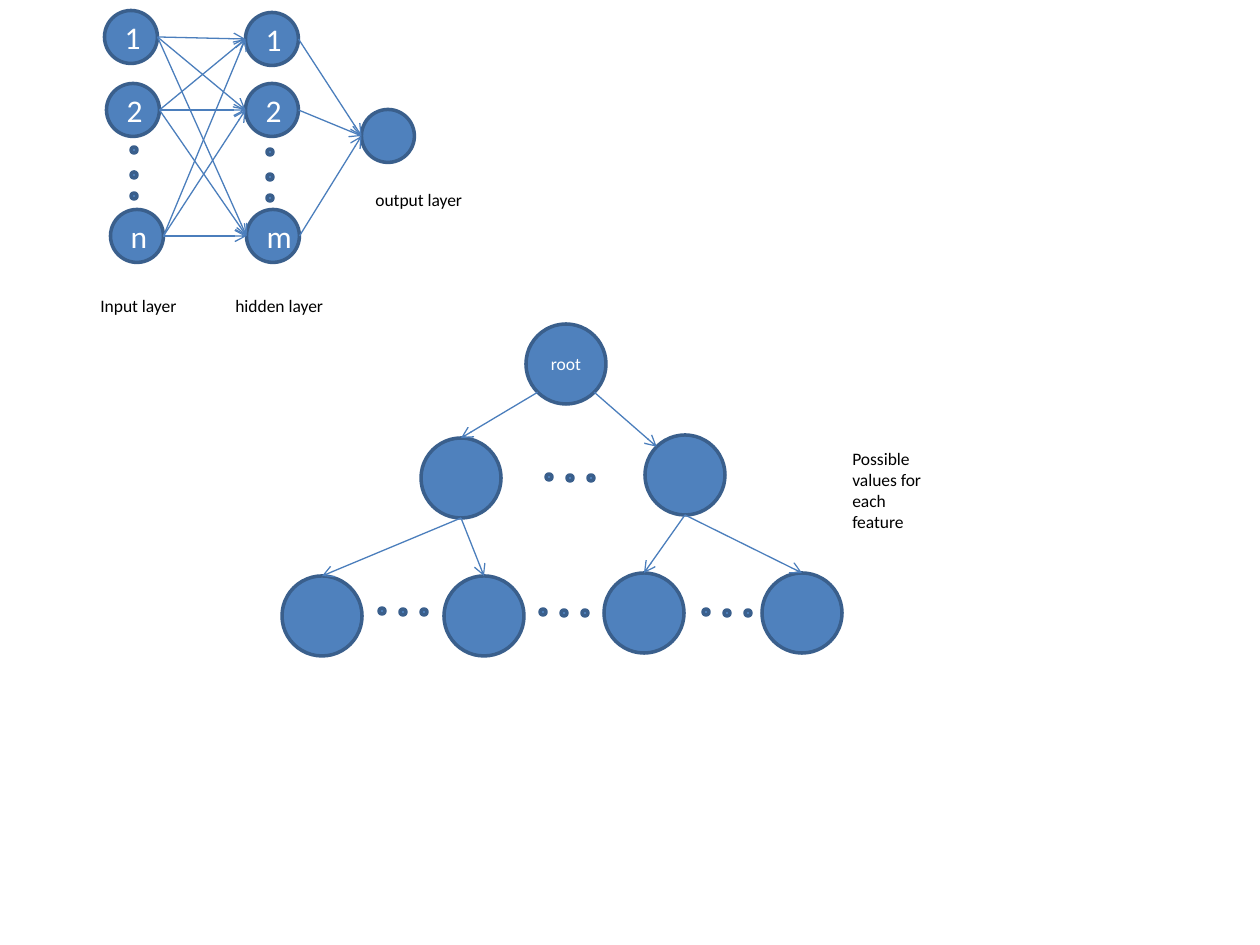
import math
from itertools import product

from lxml import etree
from pptx import Presentation
from pptx.dml.color import RGBColor
from pptx.enum.shapes import MSO_CONNECTOR, MSO_SHAPE
from pptx.enum.text import MSO_ANCHOR, MSO_AUTO_SIZE, PP_ALIGN
from pptx.oxml.ns import qn
from pptx.util import Pt

OVAL = MSO_SHAPE.OVAL
STRAIGHT = MSO_CONNECTOR.STRAIGHT
MIDDLE = MSO_ANCHOR.MIDDLE
CENTER = PP_ALIGN.CENTER
FIT_SHAPE = MSO_AUTO_SIZE.SHAPE_TO_FIT_TEXT

EMU_PER_PX = 914400 / 126
FONT = "Calibri"
COLORS = {
    "node": "4F81BD",
    "outline": "3A5F8C",
    "arrow": "4B7EBC",
    "node_text": "FFFFFF",
    "label": "000000",
}
NEURON, TREE_NODE, DOT = 53, 80, 6
RIGHT, BOTTOM_RIGHT, BOTTOM, BOTTOM_LEFT, LEFT, TOP_LEFT, TOP = range(0, 315, 45)

INPUTS = [("1", 131, 37), ("2", 133, 110), ("n", 137, 236)]
HIDDEN = [("1", 272, 39), ("2", 272, 110), ("m", 273, 236)]
COLUMN_DOTS = [(134, 150), (270, 152)]
COLUMN_STEPS = [(0, 0), (0, 25), (0, 46)]
ROW_DOTS = [(549, 477), (382, 611), (543, 612), (706, 612)]
ROW_STEPS = [(0, 0), (21, 1), (42, 1)]
LEAVES = [(322, 616), (484, 616), (644, 613), (802, 613)]
LABELS = [
    ("Input layer", 88, 289, 113, 34),
    ("hidden layer", 223, 289, 113, 34),
    ("output layer", 363, 183, 129, 34),
    ("Possible values for each feature", 840, 442, 113, 97),
]


def px(length):
    """Turn pixels into EMU."""
    return round(length * EMU_PER_PX)


def rgb(name):
    """Look up a named colour."""
    return RGBColor.from_string(COLORS[name])


def set_text(text_frame, text, size, color):
    """Write text in the slide font."""
    text_frame.text = text
    font = text_frame.paragraphs[0].runs[0].font
    font.name = FONT
    font.size = Pt(size)
    font.color.rgb = rgb(color)


def add_circle(slide, x, y, diameter, text="", size=10):
    """Add a circle around a centre and return its centre and radius."""
    radius = diameter / 2
    shape = slide.shapes.add_shape(
        OVAL, px(x - radius), px(y - radius), px(diameter), px(diameter)
    )
    shape.shadow.inherit = False
    shape.fill.solid()
    shape.fill.fore_color.rgb = rgb("node")
    shape.line.color.rgb = rgb("outline")
    shape.line.width = Pt(2)
    if text:
        set_text(shape.text_frame, text, size, "node_text")
        shape.text_frame.vertical_anchor = MIDDLE
        shape.text_frame.paragraphs[0].alignment = CENTER
    return x, y, radius


def rim_point(circle, angle):
    """Find the point on a circle at a clockwise angle from its right side."""
    x, y, radius = circle
    turn = math.radians(angle)
    return px(x + radius * math.cos(turn)), px(y + radius * math.sin(turn))


def add_arrow(slide, source, source_angle, target, target_angle):
    """Add an arrow between the rims of two circles."""
    connector = slide.shapes.add_connector(
        STRAIGHT, *rim_point(source, source_angle), *rim_point(target, target_angle)
    )
    connector.line.color.rgb = rgb("arrow")
    connector.line.width = Pt(0.75)
    line = connector.line._get_or_add_ln()
    etree.SubElement(line, qn("a:tailEnd"), type="arrow")
    etree.SubElement(connector._element.spPr, qn("a:effectLst"))


def add_dots(slide, starts, steps):
    """Add an ellipsis of small circles at each start."""
    for (x, y), (step_x, step_y) in product(starts, steps):
        add_circle(slide, x + step_x, y + step_y, DOT)


def add_label(slide, text, left, top, width, height):
    """Add a wrapped caption."""
    box = slide.shapes.add_textbox(px(left), px(top), px(width), px(height))
    box.text_frame.word_wrap = True
    box.text_frame.auto_size = FIT_SHAPE
    set_text(box.text_frame, text, 10, "label")


def add_network(slide):
    """Draw the neural network."""
    inputs, hidden = (
        [add_circle(slide, x, y, NEURON, text, 18) for text, x, y in layer]
        for layer in (INPUTS, HIDDEN)
    )
    output = add_circle(slide, 388, 136, NEURON)
    add_dots(slide, COLUMN_DOTS, COLUMN_STEPS)
    for source, target in [*product(inputs, hidden), *product(hidden, [output])]:
        add_arrow(slide, source, RIGHT, target, LEFT)


def add_tree(slide):
    """Draw the decision tree."""
    root = add_circle(slide, 566, 364, TREE_NODE, "root")
    left_child = add_circle(slide, 461, 478, TREE_NODE)
    right_child = add_circle(slide, 685, 475, TREE_NODE)
    leaves = [add_circle(slide, x, y, TREE_NODE) for x, y in LEAVES]
    add_dots(slide, ROW_DOTS, ROW_STEPS)
    add_arrow(slide, root, BOTTOM_LEFT, left_child, TOP)
    add_arrow(slide, root, BOTTOM_RIGHT, right_child, TOP_LEFT)
    for index, leaf in enumerate(leaves):
        parent = left_child if index < 2 else right_child
        add_arrow(slide, parent, BOTTOM, leaf, TOP)


def main():
    """Build the slide and save it."""
    presentation = Presentation()
    presentation.slide_width = px(1260)
    presentation.slide_height = px(945)
    slide = presentation.slides.add_slide(presentation.slide_layouts[6])
    add_network(slide)
    add_tree(slide)
    for label in LABELS:
        add_label(slide, *label)
    presentation.save("out.pptx")


if __name__ == "__main__":
    main()
